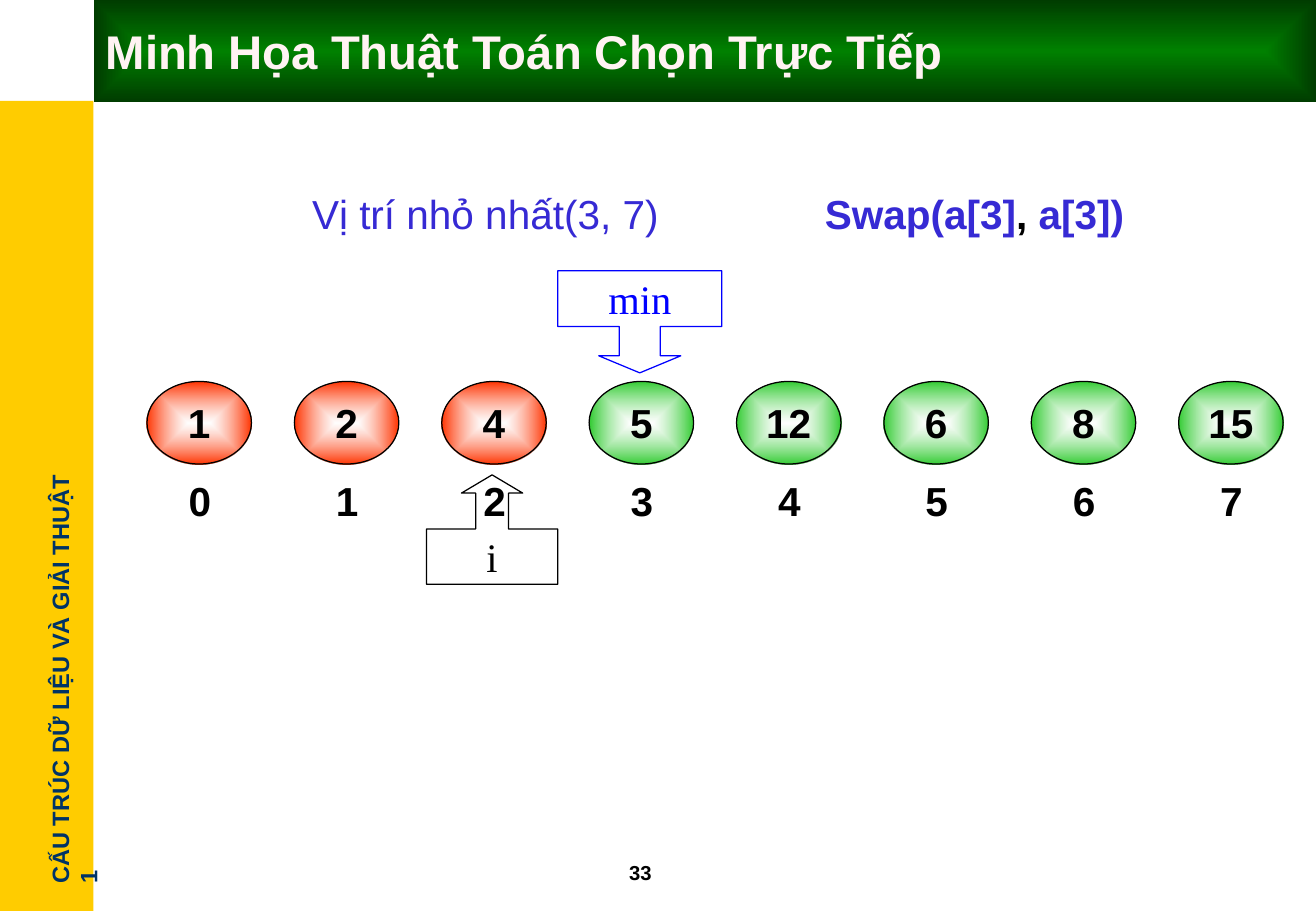
"""Build the slide that illustrates one step of selection sort."""
import pptx
import pptx.dml.color
import pptx.enum.shapes
import pptx.enum.text
import pptx.oxml
import pptx.oxml.ns
import pptx.util

Inches = pptx.util.Inches
Pt = pptx.util.Pt
SHAPE = pptx.enum.shapes.MSO_SHAPE
ALIGN = pptx.enum.text.PP_ALIGN
ANCHOR = pptx.enum.text.MSO_ANCHOR

TITLE = "Minh Họa Thuật Toán Chọn Trực Tiếp"
COURSE = "CẤU TRÚC DỮ LIỆU VÀ GIẢI THUẬT 1"
PAGE_NUMBER = "33"
VALUES = [1, 2, 4, 5, 12, 6, 8, 15]
SORTED_COUNT = 3
BLACK, INDIGO, BLUE = "000000", "362AD4", "0000FF"
SORTED_COLOR, UNSORTED_COLOR = "FF3300", "33CC33"
STEPS = [
    ((2.28, 1.51, 3.43, 0.5), [("Vị trí nhỏ nhất(3, 7)", INDIGO)], False),
    ((6.29, 1.51, 3.46, 0.5),
     [("Swap(a[3]", INDIGO), (", ", BLACK), ("a[3])", INDIGO)], True),
]
POINTERS = [
    ("i", SHAPE.UP_ARROW_CALLOUT, (3.51, 3.91, 1.08, 0.9),
     (0.301, 0.28, 0.167, 0.505), BLACK),
    ("min", SHAPE.DOWN_ARROW_CALLOUT, (4.59, 2.23, 1.35, 0.84),
     (0.402, 0.402, 0.167, 0.546), BLUE),
]
FIRST_LEFT, LAST_LEFT = 1.21, 9.7
PITCH = (LAST_LEFT - FIRST_LEFT) / (len(VALUES) - 1)


def rgb(color):
    return pptx.dml.color.RGBColor.from_string(color)


def write(shape, text, color=BLACK, size=24, bold=True, font="Arial",
          align=ALIGN.CENTER, anchor=ANCHOR.MIDDLE, wrap=True):
    frame = shape.text_frame
    frame.word_wrap = wrap
    frame.auto_size = pptx.enum.text.MSO_AUTO_SIZE.NONE
    frame.vertical_anchor = anchor
    paragraph = frame.paragraphs[0]
    paragraph.alignment = align
    pieces = [(text, color)] if isinstance(text, str) else text
    for piece, piece_color in pieces:
        run = paragraph.add_run()
        run.text = piece
        run.font.name = font
        run.font.size = Pt(size)
        run.font.bold = bold
        run.font.color.rgb = rgb(piece_color)


def fill_from_center(shape, center, edge, center_alpha=100):
    shape.fill.solid()
    properties = shape.fill._xPr
    gradient = pptx.oxml.parse_xml(
        f'<a:gradFill {pptx.oxml.ns.nsdecls("a")} rotWithShape="1"><a:gsLst>'
        f'<a:gs pos="0"><a:srgbClr val="{center}">'
        f'<a:alpha val="{center_alpha * 1000}"/></a:srgbClr></a:gs>'
        f'<a:gs pos="100000"><a:srgbClr val="{edge}"/></a:gs></a:gsLst>'
        '<a:path path="shape"><a:fillToRect l="50000" t="50000" r="50000" '
        'b="50000"/></a:path></a:gradFill>')
    solid = properties.find(pptx.oxml.ns.qn("a:solidFill"))
    properties.replace(solid, gradient)


def add_shape(slide, kind, box, fill=None, line=None):
    shape = slide.shapes.add_shape(kind, *map(Inches, box))
    shape.shadow.inherit = False
    if fill:
        shape.fill.solid()
        shape.fill.fore_color.rgb = rgb(fill)
    else:
        shape.fill.background()
    if line:
        shape.line.color.rgb = rgb(line)
        shape.line.width = Pt(0.75)
    else:
        shape.line.fill.background()
    return shape


def add_frame(slide):
    title = slide.shapes.title
    title.left, title.top = Inches(0.77), Inches(0)
    title.width, title.height = Inches(10.06), Inches(0.84)
    fill_from_center(title, "008000", "003C00")
    write(title, TITLE, color="FFF3F3", size=28, align=ALIGN.LEFT)

    add_shape(slide, SHAPE.RECTANGLE, (0, 0.83, 0.77, 6.67), fill="FFCC00")
    course = slide.shapes.add_textbox(*map(Inches, (-1.37, 5.35, 3.72, 0.33)))
    course.rotation = 270
    course.text_frame.margin_right = Inches(0.2)
    write(course, COURSE, color="003366", size=14, align=ALIGN.LEFT,
          anchor=ANCHOR.TOP)
    page = slide.shapes.add_textbox(*map(Inches, (5.08, 7.03, 0.83, 0.3)))
    write(page, PAGE_NUMBER, size=12, align=ALIGN.LEFT)


def add_array(slide):
    for index, value in enumerate(VALUES):
        left = FIRST_LEFT + index * PITCH
        element = add_shape(slide, SHAPE.OVAL, (left, 3.14, 0.86, 0.68),
                            line=BLACK)
        edge = SORTED_COLOR if index < SORTED_COUNT else UNSORTED_COLOR
        fill_from_center(element, "FFFFFF", edge, center_alpha=60)
        write(element, str(value), wrap=False)
        position = add_shape(slide, SHAPE.OVAL, (left, 3.79, 0.87, 0.66))
        write(position, str(index))


def main():
    deck = pptx.Presentation()
    deck.slide_width, deck.slide_height = Inches(10.83), Inches(7.5)
    slide = deck.slides.add_slide(deck.slide_layouts[5])
    add_frame(slide)
    add_array(slide)
    for name, kind, box, adjustments, color in POINTERS:
        pointer = add_shape(slide, kind, box, line=color)
        for index, amount in enumerate(adjustments):
            pointer.adjustments[index] = amount
        write(pointer, name, color=color, bold=False, font="Times New Roman")
    for box, text, bold in STEPS:
        step = add_shape(slide, SHAPE.RECTANGLE, box, fill="FFFFFF")
        write(step, text, bold=bold)
    deck.save("out.pptx")


if __name__ == "__main__":
    main()
